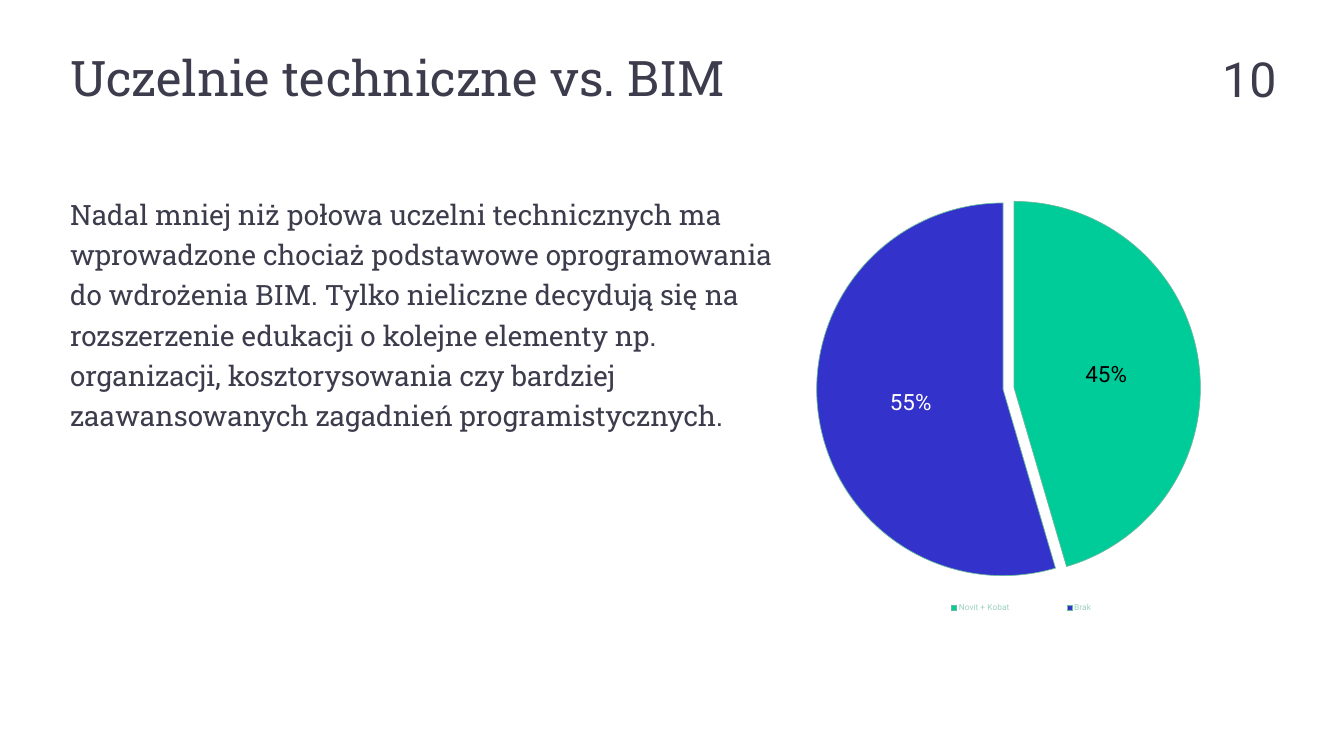
"""Build the slide on technical universities and BIM with a pie chart."""
from lxml.etree import SubElement
from pptx import Presentation
from pptx.chart.data import CategoryChartData
from pptx.dml.color import RGBColor
from pptx.enum.chart import XL_CHART_TYPE, XL_LABEL_POSITION, XL_LEGEND_POSITION
from pptx.enum.text import MSO_ANCHOR, PP_ALIGN
from pptx.oxml import parse_xml
from pptx.oxml.ns import nsdecls, qn
from pptx.util import Inches, Pt


def set_font(font, name, size, color):
    font.name = name
    font.size = Pt(size)
    font.color.rgb = RGBColor.from_string(color)


def add_text(page, text, place, name, size, spacing):
    box = page.shapes.add_textbox(*[Inches(length) for length in place])
    frame = box.text_frame
    frame.word_wrap = True
    frame.margin_left = frame.margin_right = frame.margin_top = frame.margin_bottom = 0
    para = frame.paragraphs[0]
    para.text = text
    para.line_spacing = spacing
    set_font(para.font, name, size, "3C3C4C")
    return frame


deck = Presentation()
deck.slide_width = Inches(26.67)
deck.slide_height = Inches(15)
page = deck.slides.add_slide(deck.slide_layouts[6])

number = add_text(page, "10", (23.33, 0.99, 2, 1.15), "Roboto", 69, 0.93)
number.vertical_anchor = MSO_ANCHOR.BOTTOM
number.paragraphs[0].alignment = PP_ALIGN.RIGHT

add_text(page, "Uczelnie techniczne vs. BIM", (1.39, 1.05, 18.97, 1.1), "Roboto Slab", 70, 0.93)
add_text(
    page,
    "Nadal mniej niż połowa uczelni technicznych ma wprowadzone chociaż podstawowe "
    "oprogramowania do wdrożenia BIM. Tylko nieliczne decydują się na rozszerzenie "
    "edukacji o kolejne elementy np. organizacji, kosztorysowania czy bardziej "
    "zaawansowanych zagadnień programistycznych.",
    (1.39, 3.78, 13.98, 5.16), "Roboto Slab", 40, 1.2,
)

data = CategoryChartData()
data.categories = ["Novit + Kobat", "Brak"]
data.add_series("Series 1", (5, 6))
chart = page.shapes.add_chart(
    XL_CHART_TYPE.PIE, Inches(11.83), Inches(3.14), Inches(17.05), Inches(10.88), data
).chart
set_font(chart.font, "Roboto", 10, "6ABA9C")
chart.has_title = False
chart.has_legend = True
chart.legend.position = XL_LEGEND_POSITION.BOTTOM
chart.legend.include_in_layout = False
set_font(chart.legend.font, "Roboto", 12, "9ED2BF")

plot = chart.plots[0]
plot.vary_by_categories = True
series = plot.series[0]
labels = series.data_labels
labels.show_value = True
labels.show_percentage = False
labels.position = XL_LABEL_POSITION.CENTER
set_font(labels.font, "Roboto", 32, "000000")
slices = [("00CC99", "45%", "000000"), ("3333CC", "55%", "FFFFFF")]
for index, (fill, text, color) in enumerate(slices):
    point = series.points[index]
    point.format.fill.solid()
    point.format.fill.fore_color.rgb = RGBColor.from_string(fill)
    point.format.line.color.rgb = RGBColor.from_string("6ABA9C")
    point.format.line.width = Pt(1)
    span = point.data_label.text_frame.paragraphs[0].add_run()
    span.text = text
    set_font(span.font, "Roboto", 32, color)
    point.data_label.position = XL_LABEL_POSITION.CENTER

first_point = series._element.find(qn("c:dPt"))
first_point.addprevious(parse_xml(f'<c:explosion {nsdecls("c")} val="3"/>'))

plot_area = chart._chartSpace.chart.plotArea
legend = chart.legend._element
placements = [
    (plot_area, 0, [("layoutTarget", "inner")], (0.24, 0.07, 0.48, 0.7)),
    (legend, 1, [], (0.35, 0.8, 0.29, 0.04)),
]
for part, position, target, place in placements:
    for layout in part.findall(qn("c:layout")):
        part.remove(layout)
    layout = parse_xml(f'<c:layout {nsdecls("c")}><c:manualLayout/></c:layout>')
    part.insert(position, layout)
    settings = target + [("xMode", "edge"), ("yMode", "edge")] + list(zip("xywh", place))
    for tag, value in settings:
        SubElement(layout[0], qn(f"c:{tag}")).set("val", str(value))

deck.save("out.pptx")
